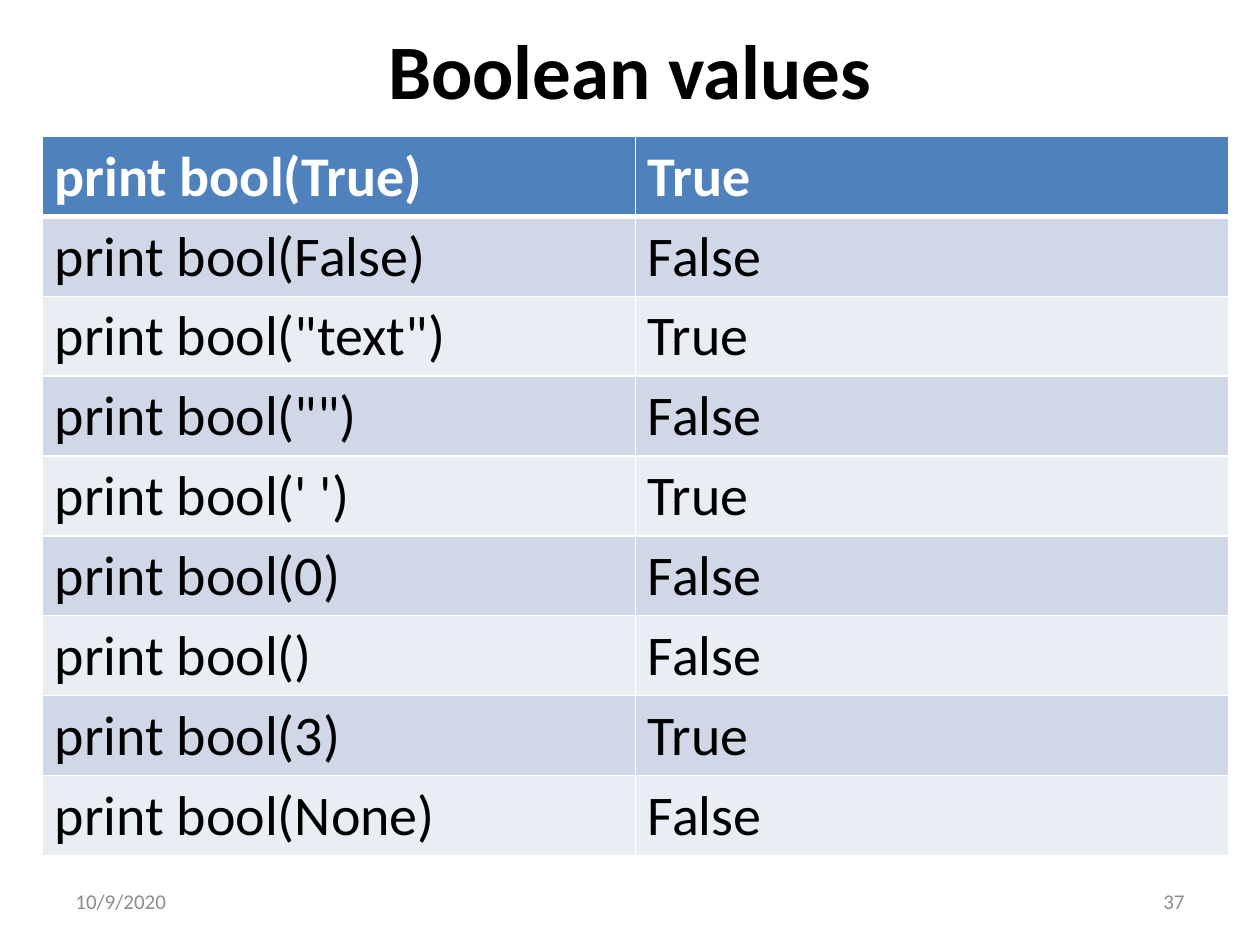
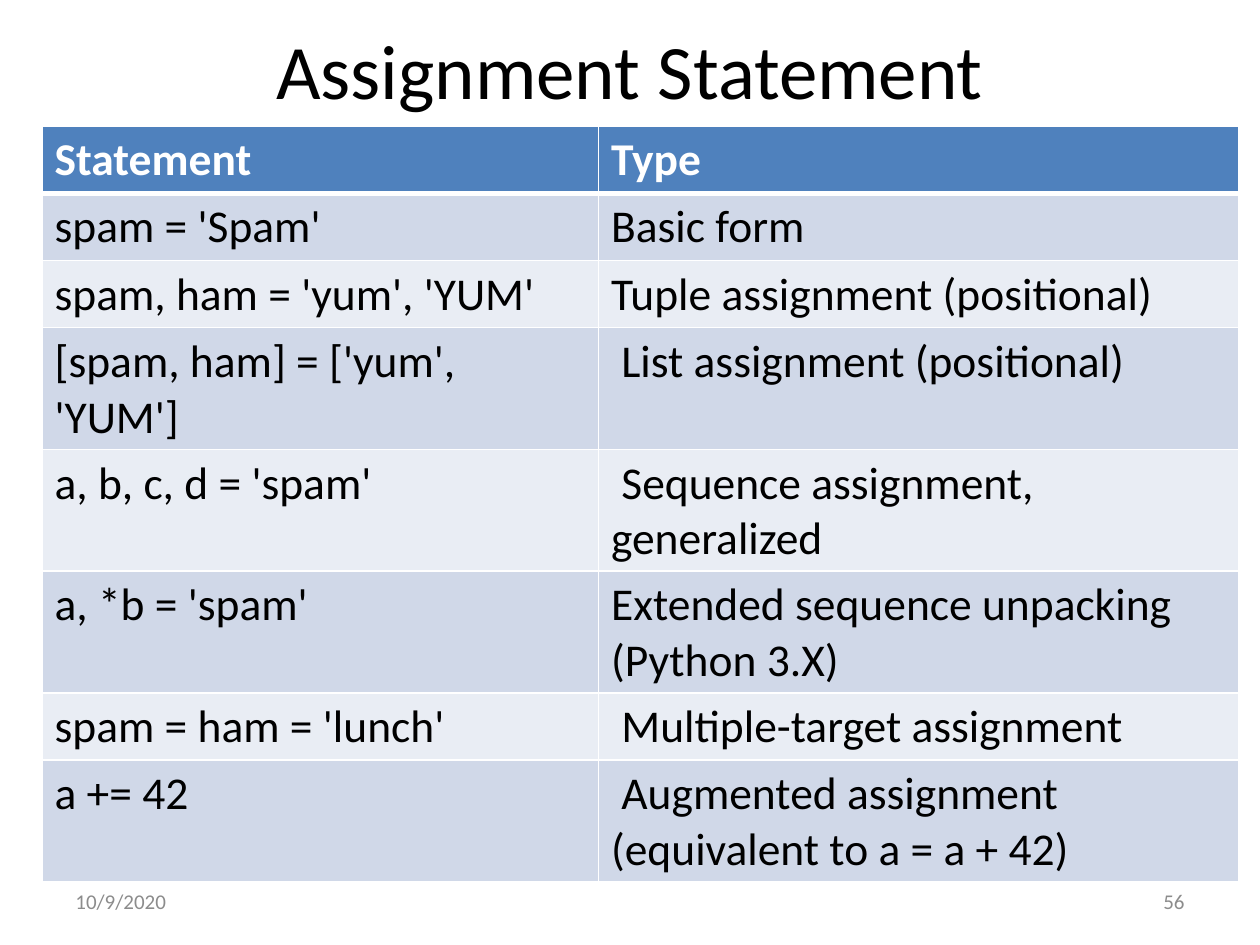
import pptx
import pptx.util
import pptx.dml.color
import pptx.enum.text
import pptx.oxml
import pptx.oxml.ns

Pt = pptx.util.Pt
RGB = pptx.dml.color.RGBColor
ALIGN = pptx.enum.text.PP_ALIGN
MIDDLE = pptx.enum.text.MSO_ANCHOR.MIDDLE

FONT = "Calibri"
BLACK = RGB(0, 0, 0)
WHITE = RGB(255, 255, 255)
GRAY = RGB(0x8C, 0x8C, 0x8C)
BLUE = RGB(0x4F, 0x81, 0xBD)
BANDS = (RGB(0xE9, 0xED, 0xF4), RGB(0xD0, 0xD8, 0xE8))
DATE = "10/9/2020"

BOOLS = [
    ("print bool(True) ", "True"),
    ("print bool(False)", "False"),
    ('print bool("text")', "True"),
    ('print bool("")', "False"),
    ("print bool(' ')", "True"),
    ("print bool(0)", "False"),
    ("print bool()", "False"),
    ("print bool(3)", "True"),
    ("print bool(None)", "False"),
]

FORMS = [
    ("Statement", "Type"),
    ("spam = 'Spam'", "Basic form"),
    ("spam, ham = 'yum', 'YUM'", "Tuple assignment (positional) "),
    ("[spam, ham] = ['yum', 'YUM'] ", " List assignment (positional) "),
    ("a, b, c, d = 'spam' ", " Sequence assignment, generalized "),
    ("a, *b = 'spam'", "Extended sequence unpacking (Python 3.X) "),
    ("spam = ham = 'lunch'", " Multiple-target assignment"),
    ("a += 42", " Augmented assignment (equivalent to a = a + 42)"),
]


def write(frame, text, size, color, bold=False, align=ALIGN.LEFT):
    frame.text = text
    para = frame.paragraphs[0]
    para.alignment = align
    font = para.runs[0].font
    font.name, font.size, font.bold = FONT, Pt(size), bold
    font.color.rgb = color


def add_title(slide, text, top, height, bold):
    title = slide.shapes.title
    title.left, title.top = Pt(36), Pt(top)
    title.width, title.height = Pt(648), Pt(height)
    title.text_frame.vertical_anchor = MIDDLE
    write(title.text_frame, text, 44, BLACK, bold, ALIGN.CENTER)


def add_note(slide, text, left, align):
    box = slide.shapes.add_textbox(Pt(left), Pt(500.4), Pt(168), Pt(28.8))
    box.text_frame.word_wrap = True
    box.text_frame.vertical_anchor = MIDDLE
    write(box.text_frame, text, 12, GRAY, align=align)


def add_edges(cell, row):
    widths = {"L": 1, "R": 1, "T": 3 if row == 1 else 1, "B": 3 if row == 0 else 1}
    props = cell._tc.get_or_add_tcPr()
    for index, (side, width) in enumerate(widths.items()):
        line = pptx.oxml.parse_xml(
            f'<a:ln{side} {pptx.oxml.ns.nsdecls("a")} w="{Pt(width)}">'
            f'<a:solidFill><a:srgbClr val="{WHITE}"/></a:solidFill></a:ln{side}>')
        props.insert(index, line)


def add_grid(slide, data, top, height, widths, step, size):
    frame = slide.shapes.add_table(
        len(data), len(widths), Pt(24), Pt(top), Pt(sum(widths)), Pt(height))
    table = frame.table
    for column, width in zip(table.columns, widths):
        column.width = Pt(width)
    for row, texts in enumerate(data):
        table.rows[row].height = Pt(step)
        head = row == 0
        for col, text in enumerate(texts):
            cell = table.cell(row, col)
            cell.fill.solid()
            cell.fill.fore_color.rgb = BLUE if head else BANDS[row % 2]
            write(cell.text_frame, text, size, WHITE if head else BLACK, head)
            add_edges(cell, row)
    frame.height = Pt(height)


def add_slide(deck, number):
    slide = deck.slides.add_slide(deck.slide_layouts[5])
    add_note(slide, DATE, 36, ALIGN.LEFT)
    add_note(slide, number, 516, ALIGN.RIGHT)
    return slide


def main():
    deck = pptx.Presentation()
    deck.slide_width, deck.slide_height = Pt(720), Pt(540)

    slide = add_slide(deck, "37")
    add_title(slide, "Boolean values", 6, 66, True)
    add_grid(slide, BOOLS, 78, 410.4, (339, 339), 36.7, 32)

    slide = add_slide(deck, "56")
    add_title(slide, "Assignment Statement", -6, 90, False)
    add_grid(slide, FORMS, 72, 432, (318, 366), 29.5, 26)

    deck.save("out.pptx")


main()
